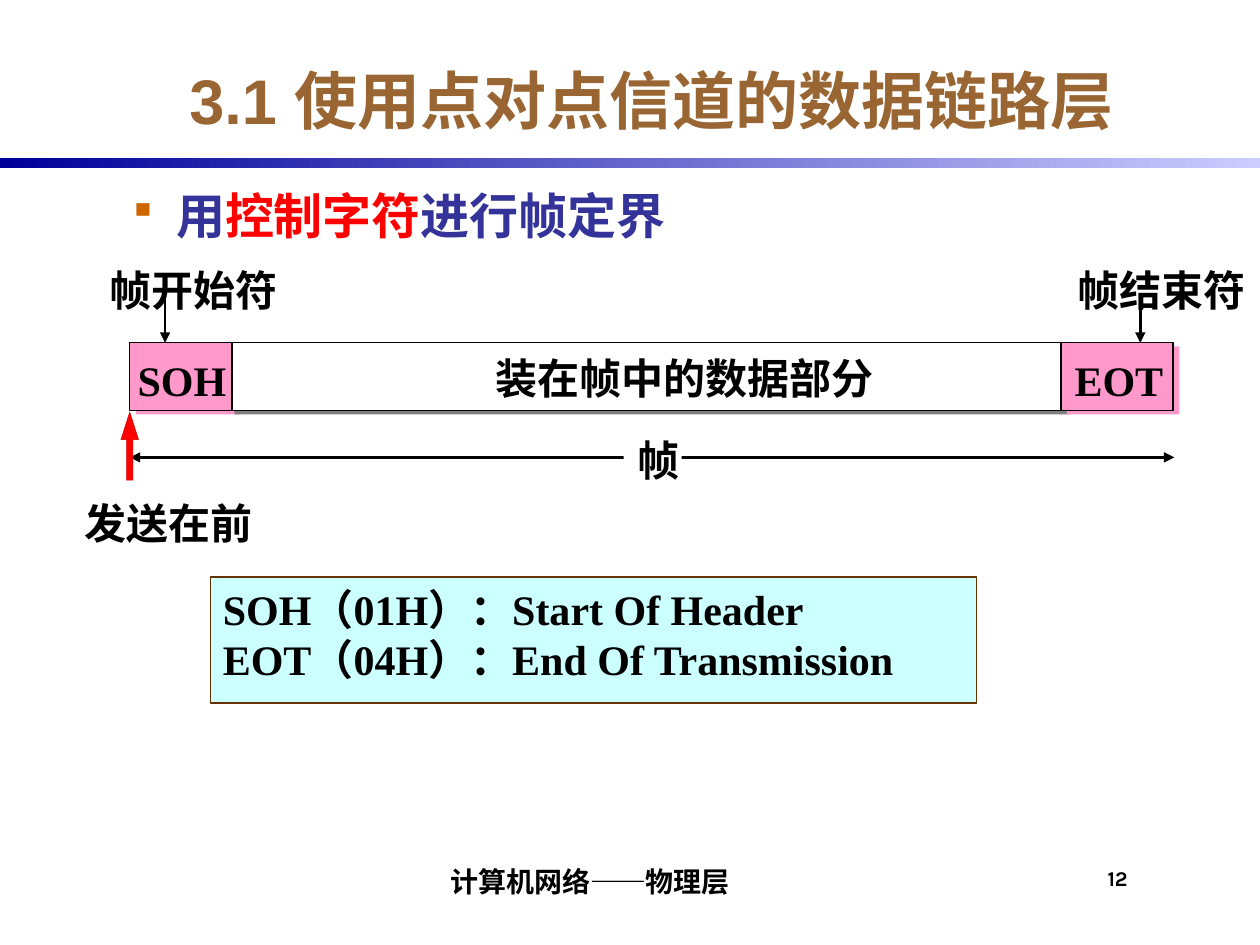
from dataclasses import dataclass

from lxml import etree
from pptx import Presentation
from pptx.dml.color import RGBColor
from pptx.enum.shapes import MSO_CONNECTOR, MSO_SHAPE
from pptx.enum.text import MSO_ANCHOR, MSO_AUTO_SIZE, PP_ALIGN
from pptx.oxml.ns import qn
from pptx.util import Inches, Pt

RECTANGLE, UP_ARROW = MSO_SHAPE.RECTANGLE, MSO_SHAPE.UP_ARROW
STRAIGHT = MSO_CONNECTOR.STRAIGHT
LEFT, CENTER = PP_ALIGN.LEFT, PP_ALIGN.CENTER
TOP, MIDDLE, BOTTOM = MSO_ANCHOR.TOP, MSO_ANCHOR.MIDDLE, MSO_ANCHOR.BOTTOM
FIT_SHAPE = MSO_AUTO_SIZE.SHAPE_TO_FIT_TEXT

SANS, SERIF, CHINESE, FOOTER = "Arial", "Times New Roman", "Noto Sans CJK SC", "Karla"
BLACK, WHITE, PINK, GRAY = "000000", "FFFFFF", "FF99CC", "808080"
RED, BLUE, BROWN = "FF0000", "333399", "996633"
NO_INSETS = (0, 0, 0, 0)
INSETS = (0.1, 0.05, 0.1, 0.05)

FRAME_TOP, FRAME_HEIGHT = 2.72, 0.54
SHADOW_DROP = 0.03


@dataclass
class Field:
    """One field of the frame, with the sideways offset of its shadow."""
    left: float
    width: float
    fill: str
    shadow: str
    shadow_shift: float


@dataclass
class Label:
    text: str
    left: float
    top: float
    width: float
    font: str = CHINESE
    align: PP_ALIGN = LEFT


FIELDS = [
    Field(1.03, 0.84, PINK, PINK, 0.05),
    Field(1.84, 6.64, WHITE, GRAY, 0.02),
    Field(8.42, 0.89, PINK, PINK, 0.05),
]
LABELS = [
    Label("SOH", 1.06, 2.81, 0.77, SERIF, CENTER),
    Label("装在帧中的数据部分", 3.93, 2.8, 3.02),
    Label("EOT", 8.47, 2.81, 0.82, SERIF, CENTER),
    Label("帧", 5.06, 3.45, 0.35),
    Label("帧开始符", 0.87, 2.1, 1.35),
    Label("帧结束符", 8.55, 2.1, 1.35),
    Label("发送在前", 0.67, 3.95, 1.35),
]


def color(value: str) -> RGBColor:
    return RGBColor.from_string(value)


def write_text(shape, lines, *, size, font, fill=BLACK, align=LEFT, anchor=TOP,
               insets=NO_INSETS, wrap=True):
    """Fill a shape with lines; a line is a string or a list of (text, colour) pairs."""
    frame = shape.text_frame
    frame.word_wrap = wrap
    if not wrap:
        frame.auto_size = FIT_SHAPE
    frame.vertical_anchor = anchor
    (frame.margin_left, frame.margin_top,
     frame.margin_right, frame.margin_bottom) = map(Inches, insets)
    for index, line in enumerate(lines):
        paragraph = frame.add_paragraph() if index else frame.paragraphs[0]
        paragraph.alignment = align
        for text, run_color in [(line, fill)] if isinstance(line, str) else line:
            run = paragraph.add_run()
            run.text = text
            run.font.size = Pt(size)
            run.font.bold = True
            run.font.name = font
            run.font.color.rgb = color(run_color)
            east_asian = etree.SubElement(run._r.get_or_add_rPr(), qn("a:ea"))
            east_asian.set("typeface", CHINESE)
    return shape


def add_text(slide, lines, left, top, width, height, **text_format):
    box = slide.shapes.add_textbox(*map(Inches, (left, top, width, height)))
    return write_text(box, lines, **text_format)


def add_block(slide, left, top, width, height, fill, line=None, line_width=0.88,
              kind=RECTANGLE):
    block = slide.shapes.add_shape(kind, *map(Inches, (left, top, width, height)))
    block.shadow.inherit = False
    block.fill.solid()
    block.fill.fore_color.rgb = color(fill)
    if line:
        block.line.color.rgb = color(line)
        block.line.width = Pt(line_width)
    else:
        block.line.fill.background()
    return block


def add_arrow(slide, x1, y1, x2, y2, both_ends=False):
    arrow = slide.shapes.add_connector(STRAIGHT, *map(Inches, (x1, y1, x2, y2)))
    arrow.line.color.rgb = color(BLACK)
    arrow.line.width = Pt(1.5)
    line = arrow.line._get_or_add_ln()
    for end in ("a:headEnd", "a:tailEnd") if both_ends else ("a:tailEnd",):
        etree.SubElement(line, qn(end), type="triangle", w="med", len="med")
    etree.SubElement(arrow._element.spPr, qn("a:effectLst"))


def add_field(slide, field: Field):
    add_block(slide, field.left + field.shadow_shift, FRAME_TOP + SHADOW_DROP,
              field.width, FRAME_HEIGHT, field.shadow)
    add_block(slide, field.left, FRAME_TOP, field.width, FRAME_HEIGHT, field.fill, BLACK)


def add_label(slide, label: Label):
    add_text(slide, [label.text], label.left, label.top, label.width, 0.4,
             size=24, font=label.font, align=label.align, wrap=False)


def add_bullet(paragraph):
    properties = paragraph._p.get_or_add_pPr()
    properties.set("marL", str(Inches(0.38)))
    properties.set("indent", str(Inches(-0.38)))
    bullet_color = etree.SubElement(properties, qn("a:buClr"))
    etree.SubElement(bullet_color, qn("a:srgbClr"), val="CC6600")
    etree.SubElement(properties, qn("a:buSzPct"), val="80000")
    etree.SubElement(properties, qn("a:buChar"), char="▪")


def add_title_rule(slide):
    rule = add_block(slide, 0, 1.25, 10, 0.08, WHITE)
    rule.fill.gradient()
    rule.fill.gradient_angle = 0
    for stop, value in zip(rule.fill.gradient_stops, ("000099", "CCCCFF")):
        stop.color.rgb = color(value)


def main():
    presentation = Presentation()
    presentation.slide_width, presentation.slide_height = Inches(10), Inches(7.5)
    slide = presentation.slides.add_slide(presentation.slide_layouts[6])

    add_title_rule(slide)
    add_text(slide, ["3.1 使用点对点信道的数据链路层"], 0.92, 0.33, 8.5, 0.92, size=36,
             font=SANS, fill=BROWN, align=CENTER, anchor=MIDDLE, insets=INSETS)
    topic = add_text(slide, [[("用", BLUE), ("控制字符", RED), ("进行帧定界", BLUE)]],
                     0.92, 1.42, 8.5, 5, size=28, font=SANS, insets=INSETS)
    add_bullet(topic.text_frame.paragraphs[0])

    for field in FIELDS:
        add_field(slide, field)
    add_arrow(slide, 1.03, 3.63, 9.32, 3.63, both_ends=True)
    add_block(slide, 4.95, 3.42, 0.46, 0.4, WHITE)
    for x in (1.31, 9.05):
        add_arrow(slide, x, 2.35, x, FRAME_TOP)
    send_arrow = add_block(slide, 0.96, 3.27, 0.14, 0.54, RED, "CC0000", 0.25, UP_ARROW)
    send_arrow.adjustments[0] = 0.36
    send_arrow.adjustments[1] = 1.57
    for label in LABELS:
        add_label(slide, label)

    legend = add_block(slide, 1.67, 4.58, 6.08, 1, "CCFFFF", "663300", 1)
    write_text(legend, ["SOH（01H）：Start Of Header", "EOT（04H）：End Of Transmission"],
               size=24, font=SERIF, insets=INSETS)

    add_text(slide, ["计算机网络——物理层"], 2.08, 6.75, 5.17, 0.42, size=16, font=FOOTER,
             align=CENTER, anchor=BOTTOM, insets=(0.04, 0, 0, 0.04))
    add_text(slide, ["12"], 8.75, 6.83, 0.58, 0.42, size=12, font=FOOTER,
             insets=(0.04, 0.04, 0, 0))
    presentation.save("out.pptx")


if __name__ == "__main__":
    main()
